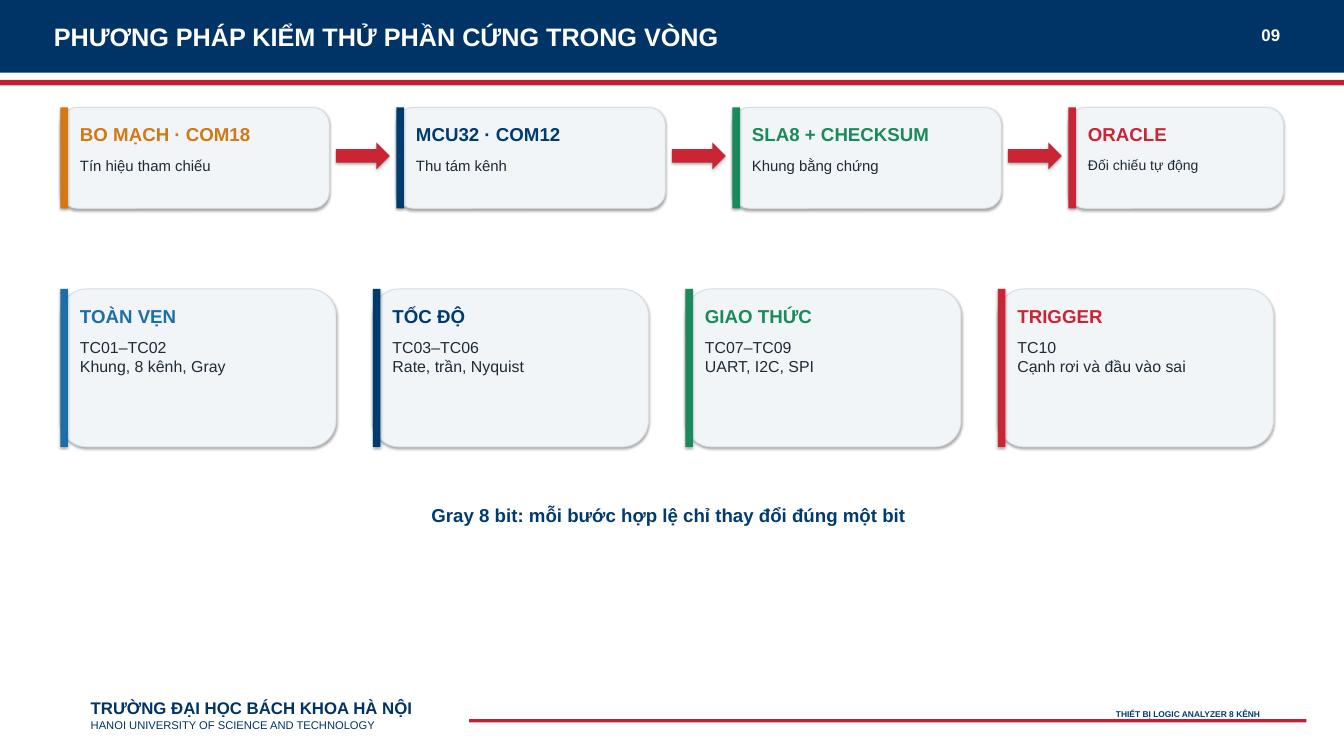
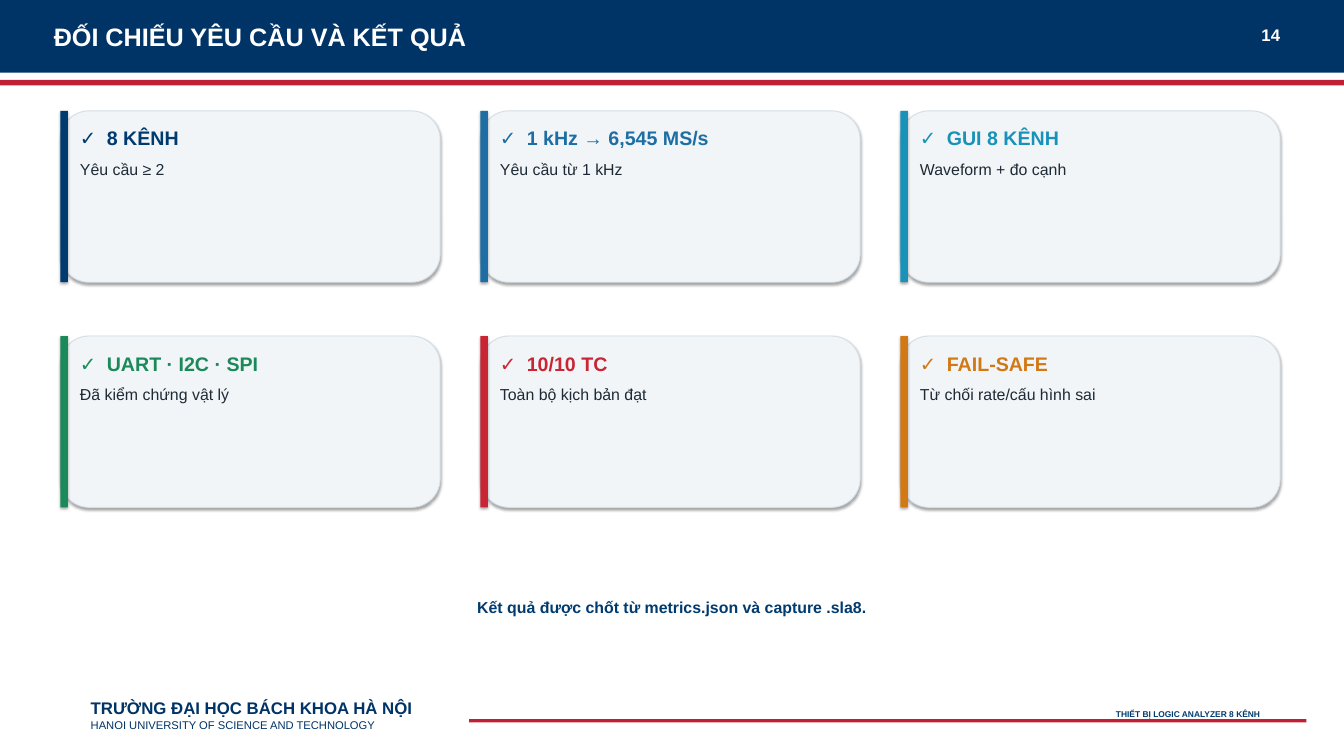
from lxml import etree
from pptx import Presentation
from pptx import util as u
from pptx.dml.color import RGBColor
from pptx.enum import shapes, text
from pptx.oxml.ns import qn

C = {"band": "003366", "rule": "C02034", "navy": "003B70", "blue": "1C6EA4",
     "cyan": "1892B8", "green": "1B8A5A", "red": "C92535", "orange": "D27814",
     "card": "F1F5F8", "edge": "D4DFE7", "ink": "1E2A35", "white": "FFFFFF"}
SHAPE, ALIGN, ANCHOR = shapes.MSO_SHAPE, text.PP_ALIGN, text.MSO_ANCHOR
CHECK_TAB = 0.4


def add_box(s, kind, box, fill, line=None, shadow=True):
    sp = s.shapes.add_shape(kind, *map(u.Inches, box))
    sp.fill.solid()
    sp.fill.fore_color.rgb = RGBColor.from_string(C[fill])
    if line:
        sp.line.color.rgb = RGBColor.from_string(C[line])
        sp.line.width = u.Pt(1)
    else:
        sp.line.fill.background()
    if not shadow:
        sp.shadow.inherit = False


def set_text(sp, box, lines, color, align=ALIGN.LEFT, anchor=ANCHOR.TOP,
             inset=0.05, grow=True):
    """Fill sp with lines of (text, size, bold, line spacing in points or None)."""
    for name, value in zip(("left", "top", "width", "height"), box):
        setattr(sp, name, u.Inches(value))
    tf = sp.text_frame
    fit = text.MSO_AUTO_SIZE
    frame = {"word_wrap": True, "vertical_anchor": anchor,
             "auto_size": fit.SHAPE_TO_FIT_TEXT if grow else fit.NONE}
    frame.update({f"margin_{side}": u.Inches(inset)
                  for side in ("left", "top", "right", "bottom")})
    for name, value in frame.items():
        setattr(tf, name, value)
    for i, (words, size, bold, spacing) in enumerate(lines):
        p = tf.add_paragraph() if i else tf.paragraphs[0]
        p.text = words
        p.alignment = align
        if spacing:
            p.line_spacing = u.Pt(spacing)
        if "\t" in words:
            tabs = etree.SubElement(p._p.get_or_add_pPr(), qn("a:tabLst"))
            etree.SubElement(tabs, qn("a:tab"), pos=str(u.Inches(CHECK_TAB)), algn="l")
        for r in p.runs:
            for name, value in {"name": "Arial", "size": u.Pt(size), "bold": bold}.items():
                setattr(r.font, name, value)
            r.font.color.rgb = RGBColor.from_string(C[color])


# Cards: left, top, width, height, colour, heading, body, heading size, body size
flow = [("orange", "BO MẠCH · COM18", "Tín hiệu tham chiếu", 4, 16),
        ("navy", "MCU32 · COM12", "Thu tám kênh", 4, 16),
        ("green", "SLA8 + CHECKSUM", "Khung bằng chứng", 4, 16),
        ("red", "ORACLE", "Đối chiếu tự động", 3.2, 15)]
groups = [("blue", "TOÀN VẸN", "TC01–TC02\nKhung, 8 kênh, Gray"),
          ("navy", "TỐC ĐỘ", "TC03–TC06\nRate, trần, Nyquist"),
          ("green", "GIAO THỨC", "TC07–TC09\nUART, I2C, SPI"),
          ("red", "TRIGGER", "TC10\nCạnh rơi và đầu vào sai")]
results = [("navy", "8 KÊNH", "Yêu cầu ≥ 2"),
           ("blue", "1 kHz → 6,545 MS/s", "Yêu cầu từ 1 kHz"),
           ("cyan", "GUI 8 KÊNH", "Waveform + đo cạnh"),
           ("green", "UART · I2C · SPI", "Đã kiểm chứng vật lý"),
           ("red", "10/10 TC", "Toàn bộ kịch bản đạt"),
           ("orange", "FAIL-SAFE", "Từ chối rate/cấu hình sai")]

method_cards = [(0.9 + 5 * i, 1.6, w, 1.5, color, head, body, 20, size)
                for i, (color, head, body, w, size) in enumerate(flow)]
method_cards += [(0.9 + 4.65 * i, 4.3, 4.1, 2.35, color, head, body, 20, 17)
                 for i, (color, head, body) in enumerate(groups)]
result_cards = [(0.9 + 6.25 * (i % 3), 1.65 + 3.35 * (i // 3), 5.65, 2.55,
                 color, "✓\t" + head, body, 21, 17)
                for i, (color, head, body) in enumerate(results)]

# Slides: title, number, cards, arrow lefts, closing line, its box and size
slides = [
    ("PHƯƠNG PHÁP KIỂM THỬ PHẦN CỨNG TRONG VÒNG", "09", method_cards, (5, 10, 15),
     "Gray 8 bit: mỗi bước hợp lệ chỉ thay đổi đúng một bit", (3.2, 7.45, 13.5, 0.55), 20),
    ("ĐỐI CHIẾU YÊU CẦU VÀ KẾT QUẢ", "14", result_cards, (),
     "Kết quả được chốt từ metrics.json và capture .sla8.", (3, 8.85, 14, 0.5), 17),
]
bands = [((0, 0, 20.02, 1.08), "band"), ((0, 1.19, 20.02, 0.08), "rule"),
         ((6.98, 10.7, 12.46, 0.05), "rule")]
school = [("TRƯỜNG ĐẠI HỌC BÁCH KHOA HÀ NỘI", 18, True, 21.6),
          ("HANOI UNIVERSITY OF SCIENCE AND TECHNOLOGY", 12, False, 14.4)]

prs = Presentation()
prs.slide_width, prs.slide_height = u.Inches(20), u.Inches(11.25)

for title, number, cards, arrows, closing, closing_box, closing_size in slides:
    s = prs.slides.add_slide(prs.slide_layouts[5])
    new_text = lambda: s.shapes.add_textbox(0, 0, 0, 0)

    for box, color in bands:
        add_box(s, SHAPE.RECTANGLE, box, color, shadow=False)
    set_text(new_text(), (1.35, 10.22, 5.4, 0.84), school, "band",
             anchor=ANCHOR.MIDDLE, inset=0, grow=False)
    s.shapes._spTree.append(s.shapes.title._element)  # in front of the band
    set_text(s.shapes.title, (0.75, 0.27, 16.8, 0.55), [(title, 27, True, None)],
             "white", anchor=ANCHOR.MIDDLE)
    set_text(new_text(), (18.1, 0.27, 1, 0.5), [(number, 18, True, None)],
             "white", ALIGN.RIGHT, ANCHOR.MIDDLE)
    set_text(new_text(), (13.7, 10.5, 5.1, 0.25),
             [("THIẾT BỊ LOGIC ANALYZER 8 KÊNH", 9, True, None)], "navy", ALIGN.RIGHT)

    for x, y, w, h, color, head, body, head_size, body_size in cards:
        add_box(s, SHAPE.ROUNDED_RECTANGLE, (x, y, w, h), "card", "edge")
        add_box(s, SHAPE.RECTANGLE, (x, y, 0.11, h), color)
        set_text(new_text(), (x + 0.24, y + 0.18, w - 0.42, 0.42),
                 [(head, head_size, True, None)], color)
        set_text(new_text(), (x + 0.24, y + 0.68, w - 0.42, h - 0.82),
                 [(body, body_size, False, None)], "ink")
    for x in arrows:
        add_box(s, SHAPE.RIGHT_ARROW, (x, 2.12, 0.8, 0.4), "red")

    set_text(new_text(), closing_box, [(closing, closing_size, True, None)],
             "navy", ALIGN.CENTER)

prs.save("out.pptx")
